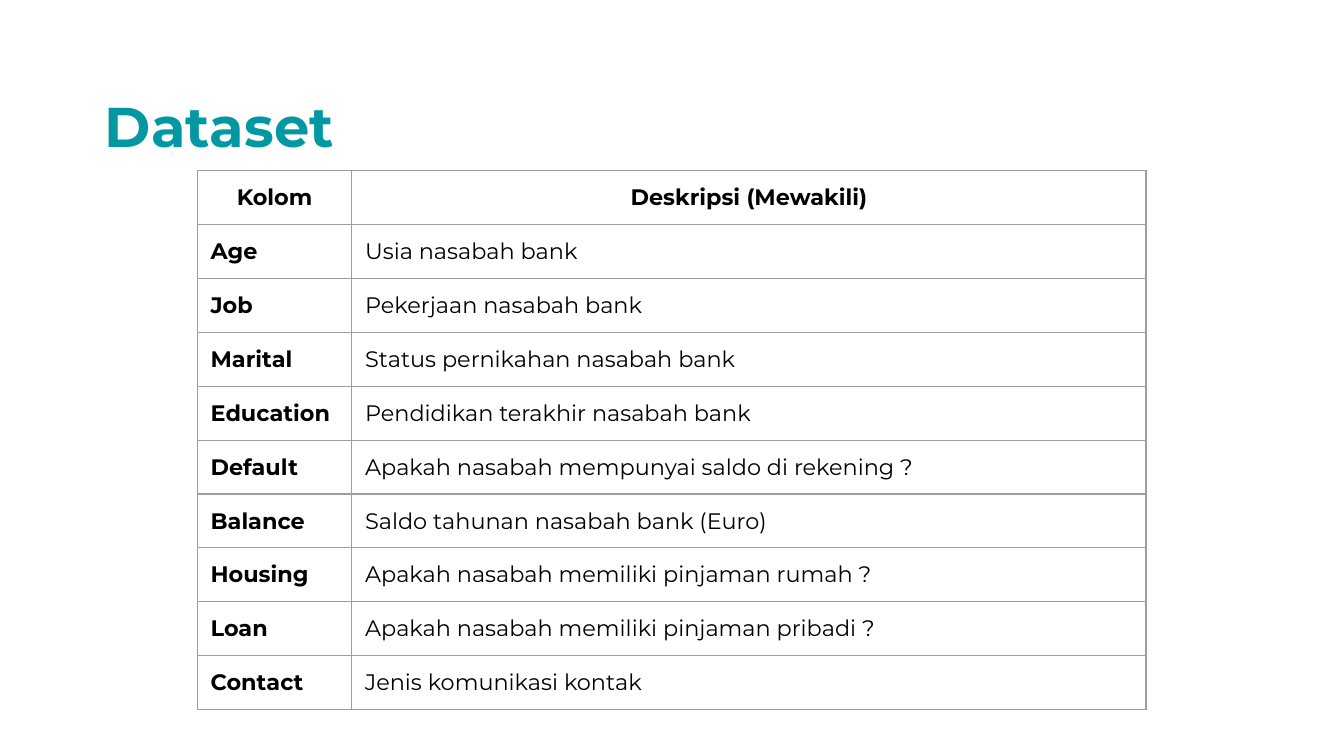
from lxml.etree import SubElement
from pptx import Presentation
from pptx.dml.color import RGBColor
from pptx.enum.text import MSO_ANCHOR as Anchor, MSO_AUTO_SIZE as AutoSize, PP_ALIGN as Align
from pptx.oxml.ns import qn
from pptx.util import Cm, Pt

TEAL = RGBColor(0x01, 0x98, 0xA3)
BLACK = RGBColor(0x00, 0x00, 0x00)
GREY = RGBColor(0x9E, 0x9E, 0x9E)
FONT = "Montserrat"
HEADER = ("Kolom", "Deskripsi (Mewakili)")
COLUMNS = (
    ("Age", "Usia nasabah bank"),
    ("Job", "Pekerjaan nasabah bank"),
    ("Marital", "Status pernikahan nasabah bank"),
    ("Education", "Pendidikan terakhir nasabah bank"),
    ("Default", "Apakah nasabah mempunyai saldo di rekening ?"),
    ("Balance", "Saldo tahunan nasabah bank (Euro)"),
    ("Housing", "Apakah nasabah memiliki pinjaman rumah ?"),
    ("Loan", "Apakah nasabah memiliki pinjaman pribadi ?"),
    ("Contact", "Jenis komunikasi kontak"),
)


def write_text(frame, text, size=12, color=BLACK, bold=False, align=Align.LEFT, spacing=1.0):
    """Write one formatted paragraph into a text frame."""
    paragraph = frame.paragraphs[0]
    paragraph.alignment = align
    paragraph.line_spacing = spacing
    run = paragraph.add_run()
    run.text = text
    run.font.name = FONT
    run.font.size = Pt(size)
    run.font.bold = bold
    run.font.color.rgb = color


def add_title(slide, text):
    """Place and format the title placeholder."""
    title = slide.shapes.title
    title.left, title.top, title.width, title.height = Cm(1.8), Cm(1.73), Cm(15.32), Cm(1.22)
    frame = title.text_frame
    frame.word_wrap = True
    frame.auto_size = AutoSize.NONE
    frame.vertical_anchor = Anchor.MIDDLE
    frame.margin_left = frame.margin_right = Cm(0.18)
    frame.margin_top = frame.margin_bottom = Cm(0.1)
    write_text(frame, text, size=30, color=TEAL, bold=True, spacing=1.03)


def add_borders(cell):
    """Draw a thin grey line on each side of a cell."""
    properties = cell._tc.get_or_add_tcPr()
    for index, side in enumerate(("a:lnL", "a:lnR", "a:lnT", "a:lnB")):
        line = SubElement(properties, qn(side), w=str(Pt(0.75)))
        fill = SubElement(line, qn("a:solidFill"))
        SubElement(fill, qn("a:srgbClr"), val=str(GREY))
        properties.insert(index, line)


def format_cell(cell, text, **text_format):
    """Fill a cell with text, even margins and borders."""
    cell.vertical_anchor = Anchor.MIDDLE
    cell.margin_left = cell.margin_right = cell.margin_top = cell.margin_bottom = Cm(0.25)
    cell.fill.background()
    add_borders(cell)
    write_text(cell.text_frame, text, **text_format)


def add_column_table(slide):
    """Add the table of data set columns and their descriptions."""
    rows = (HEADER, *COLUMNS)
    widths = (Cm(2.92), Cm(15.01))
    row_height = Cm(0.79)
    table = slide.shapes.add_table(
        len(rows), len(widths), Cm(3.73), Cm(3.23), sum(widths), row_height * len(rows)
    ).table
    table.first_row = table.horz_banding = False
    for column, width in zip(table.columns, widths):
        column.width = width
    for row_index, texts in enumerate(rows):
        is_header = row_index == 0
        for column_index, text in enumerate(texts):
            format_cell(
                table.cell(row_index, column_index),
                text,
                bold=is_header or column_index == 0,
                align=Align.CENTER if is_header else Align.LEFT,
            )


def main():
    """Build and save the data set slide."""
    presentation = Presentation()
    presentation.slide_width, presentation.slide_height = Cm(25.4), Cm(14.29)
    slide = presentation.slides.add_slide(presentation.slide_layouts[5])
    add_title(slide, "Dataset")
    add_column_table(slide)
    presentation.save("out.pptx")


if __name__ == "__main__":
    main()
